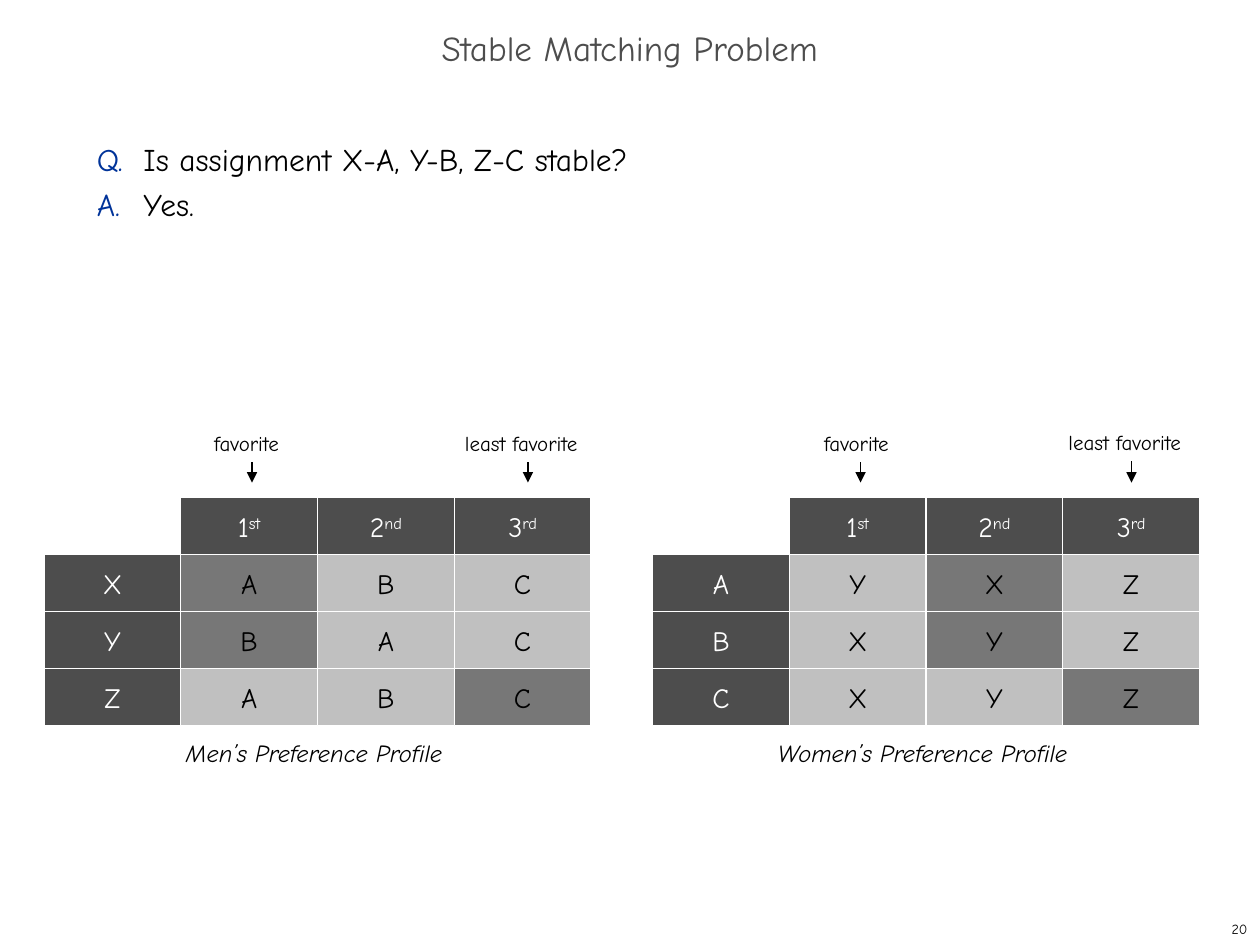
from dataclasses import dataclass

from lxml.etree import SubElement
from pptx import Presentation
from pptx.dml.color import RGBColor
from pptx.enum.shapes import MSO_CONNECTOR as Connector, MSO_SHAPE as Shape
from pptx.enum.text import MSO_ANCHOR as Anchor, PP_ALIGN as Align
from pptx.oxml.ns import qn
from pptx.util import Inches, Pt


@dataclass(frozen=True)
class Theme:
    """Font, colours and type sizes of the slide."""
    font: str = "Comic Neue"
    black: str = "000000"
    white: str = "FFFFFF"
    blue: str = "003399"
    dark: str = "4D4D4D"
    matched: str = "777777"
    light: str = "C0C0C0"
    title: int = 20
    body: int = 18
    cell: int = 16
    caption: int = 14
    label: int = 12
    number: int = 8
    line: float = 0.75


@dataclass(frozen=True)
class Marker:
    """A label with an arrow that points down at a column."""
    text: str
    left: float
    width: float
    arrow: float
    top: float = 3.42


@dataclass(frozen=True)
class Profile:
    """Preference lists; matches holds the matched rank of each row."""
    caption: str
    left: float
    rows: tuple[str, ...]
    matches: tuple[int, ...]
    markers: tuple[Marker, ...]


THEME = Theme()
RANKS = (("1", "st"), ("2", "nd"), ("3", "rd"))
GRID_TOP, COLUMN, ROW = 3.95, 4.34 / 4, 1.81 / 4
ARROW_BOTTOM = 3.83
ANSWER_INDENT = 0.37

QUESTIONS = (
    ("Q.", "Is assignment X-A, Y-B, Z-C stable?"),
    ("A.", "Yes."),
)
PROFILES = (
    Profile("Men’s Preference Profile", 0.35, ("XABC", "YBAC", "ZABC"), (1, 1, 3),
            (Marker("favorite", 1.70, 0.64, 2.00),
             Marker("least favorite", 3.69, 1.08, 4.19))),
    Profile("Women’s Preference Profile", 5.18, ("AYXZ", "BXYZ", "CXYZ"), (2, 2, 3),
            (Marker("favorite", 6.54, 0.64, 6.83),
             Marker("least favorite", 8.48, 1.08, 8.98, 3.41))),
)


def rgb(color: str) -> RGBColor:
    """Turn a hex string into a colour."""
    return RGBColor.from_string(color)


def style(para, size: int, color: str, align=Align.LEFT) -> None:
    """Set the font and alignment of a paragraph."""
    para.alignment = align
    para.font.name = THEME.font
    para.font.size = Pt(size)
    para.font.color.rgb = rgb(color)


def add_text(page, text: str, left: float, top: float, width: float, height: float,
             size: int, color: str = THEME.black, align=Align.LEFT,
             anchor=Anchor.MIDDLE, wrap: bool = False):
    """Add a one-paragraph text box and return its paragraph."""
    box = page.shapes.add_textbox(Inches(left), Inches(top), Inches(width), Inches(height))
    frame = box.text_frame
    frame.word_wrap = wrap
    frame.vertical_anchor = anchor
    para = frame.paragraphs[0]
    para.text = text
    style(para, size, color, align)
    return para


def add_questions(page) -> None:
    """Add the question and answer with hanging coloured letters."""
    box = page.shapes.add_textbox(Inches(0.67), Inches(1), Inches(8.58), Inches(2.5))
    frame = box.text_frame
    frame.word_wrap = True
    for index, (letter, text) in enumerate(QUESTIONS):
        para = frame.add_paragraph() if index else frame.paragraphs[0]
        style(para, THEME.body, THEME.black)
        para.line_spacing = Pt(26)
        properties = para._p.get_or_add_pPr()
        properties.set("marL", str(Inches(ANSWER_INDENT)))
        properties.set("indent", str(-Inches(ANSWER_INDENT)))
        span = para.add_run()
        span.text = letter + "\t"
        span.font.color.rgb = rgb(THEME.blue)
        para.add_run().text = text


def add_cell(page, profile: Profile, row: int, column: int, fill: str,
             color: str, text: str, suffix: str = "") -> None:
    """Add one grid cell, with an optional superscript suffix."""
    cell = page.shapes.add_shape(
        Shape.RECTANGLE, Inches(profile.left + column * COLUMN),
        Inches(GRID_TOP + row * ROW), Inches(COLUMN), Inches(ROW))
    cell.shadow.inherit = False
    cell.fill.solid()
    cell.fill.fore_color.rgb = rgb(fill)
    cell.line.color.rgb = rgb(THEME.white)
    cell.line.width = Pt(THEME.line)
    frame = cell.text_frame
    frame.word_wrap = False
    frame.vertical_anchor = Anchor.MIDDLE
    para = frame.paragraphs[0]
    style(para, THEME.cell, color, Align.CENTER)
    para.add_run().text = text
    if suffix:
        span = para.add_run()
        span.text = suffix
        span.font._element.set("baseline", "30000")


def add_marker(page, marker: Marker) -> None:
    """Add a label and the arrow below it."""
    para = add_text(page, marker.text, marker.left, marker.top, marker.width, 0.23,
                    THEME.label, anchor=Anchor.TOP)
    frame = para._parent
    frame.margin_left = frame.margin_right = frame.margin_top = frame.margin_bottom = 0
    arrow = page.shapes.add_connector(
        Connector.STRAIGHT, Inches(marker.arrow), Inches(marker.top + 0.25),
        Inches(marker.arrow), Inches(ARROW_BOTTOM))
    arrow.line.color.rgb = rgb(THEME.black)
    arrow.line.width = Pt(THEME.line)
    SubElement(arrow.line._get_or_add_ln(), qn("a:tailEnd"), type="triangle")
    SubElement(arrow._element.spPr, qn("a:effectLst"))


def add_profile(page, profile: Profile) -> None:
    """Add a preference grid with its markers and caption."""
    for column, (digit, suffix) in enumerate(RANKS, start=1):
        add_cell(page, profile, 0, column, THEME.dark, THEME.white, digit, suffix)
    for row, (names, match) in enumerate(zip(profile.rows, profile.matches), start=1):
        for column, name in enumerate(names):
            if column == 0:
                fill, color = THEME.dark, THEME.white
            else:
                fill = THEME.matched if column == match else THEME.light
                color = THEME.black
            add_cell(page, profile, row, column, fill, color, name)
    for marker in profile.markers:
        add_marker(page, marker)
    caption = add_text(page, profile.caption, profile.left - 0.02, 5.75, 4.33, 0.45,
                       THEME.caption, align=Align.CENTER)
    caption.font.italic = True


def build() -> None:
    """Build the slide and save it."""
    deck = Presentation()
    deck.slide_width, deck.slide_height = Inches(10), Inches(7.5)
    page = deck.slides.add_slide(deck.slide_layouts[6])
    add_text(page, "20", 7.92, 7.25, 2.08, 0.25, THEME.number, align=Align.RIGHT)
    title = add_text(page, "Stable Matching Problem", 0, 0.17, 10, 0.5, THEME.title,
                     THEME.dark, Align.CENTER, wrap=True)
    title.line_spacing = 0.7
    add_questions(page)
    for profile in PROFILES:
        add_profile(page, profile)
    deck.save("out.pptx")


build()
